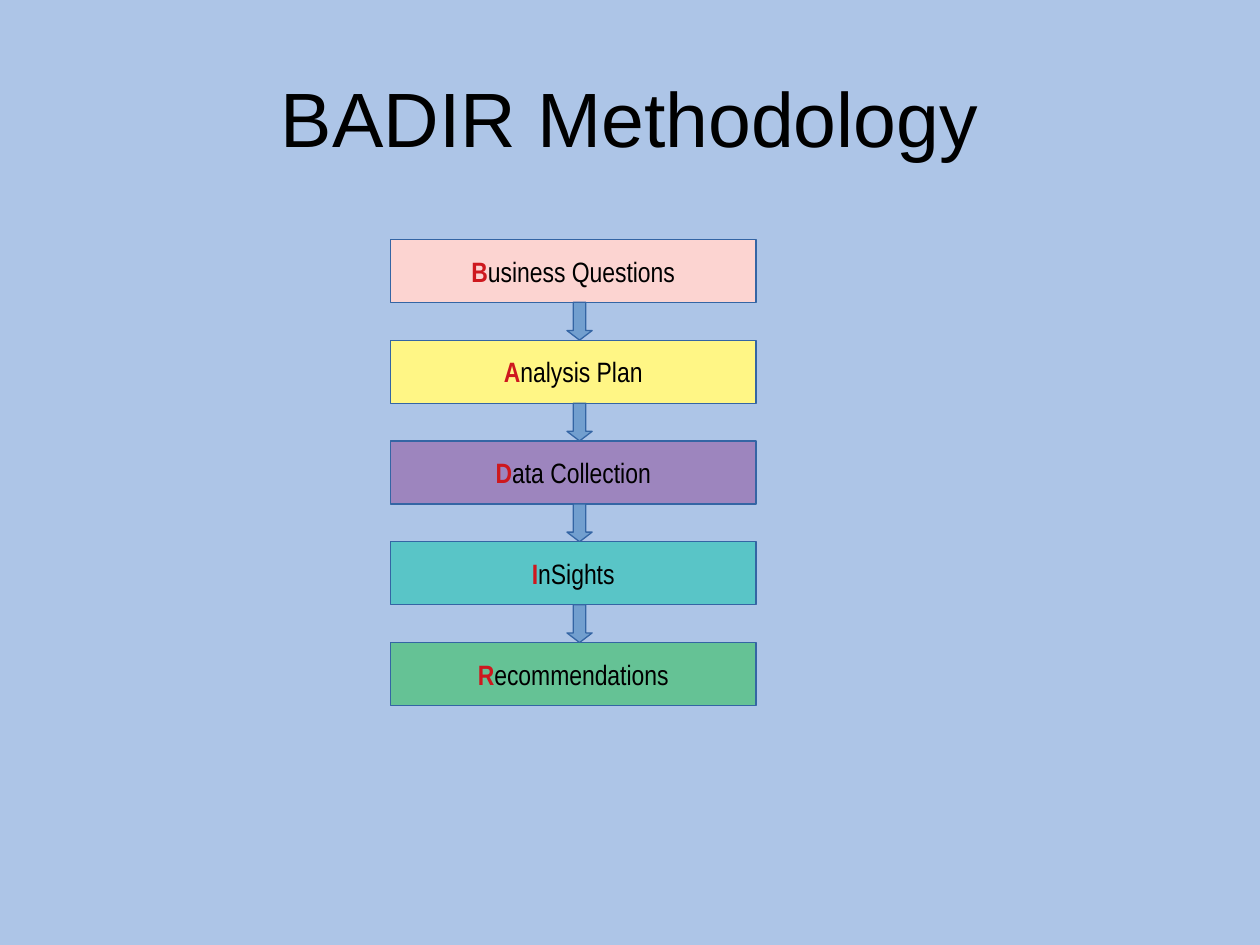
from pptx import Presentation
from pptx import util as u
from pptx.dml.color import RGBColor
from pptx.enum import shapes, text

BACKGROUND = RGBColor(0xAD, 0xC5, 0xE7)
BLACK = RGBColor(0x00, 0x00, 0x00)
INITIAL_RED = RGBColor(0xCE, 0x18, 0x1E)
OUTLINE = RGBColor(0x34, 0x65, 0xA4)
ARROW_BLUE = RGBColor(0x72, 0x9F, 0xCF)
PINK = RGBColor(0xFC, 0xD4, 0xD1)
YELLOW = RGBColor(0xFF, 0xF6, 0x85)
PURPLE = RGBColor(0x9D, 0x85, 0xBE)
TEAL = RGBColor(0x59, 0xC5, 0xC7)
GREEN = RGBColor(0x65, 0xC2, 0x95)

STEPS = [
    ("Business Questions", PINK),
    ("Analysis Plan", YELLOW),
    ("Data Collection", PURPLE),
    ("InSights", TEAL),
    ("Recommendations", GREEN),
]

# Flow layout in inches
BOX_LEFT, FIRST_TOP = 3.1, 1.9
BOX_WIDTH, BOX_HEIGHT = 2.9, 0.5
ARROW_LEFT, ARROW_WIDTH = 4.5, 0.2
GAP = 0.3


class FlowSlide:
    """Holds the text style and the current slide."""

    title_font, title_size = "Arial", 44
    step_font, step_size = "Arial Narrow", 16

    def __init__(self, presentation):
        self.slide = presentation.slides.add_slide(presentation.slide_layouts[5])
        fill = self.slide.background.fill
        fill.solid()
        fill.fore_color.rgb = BACKGROUND

    def add_run(self, paragraph, words, font, size, color, bold=False):
        run = paragraph.add_run()
        run.text = words
        run.font.name = font
        run.font.size = u.Pt(size)
        run.font.color.rgb = color
        run.font.bold = bold

    def add_title(self, words):
        title = self.slide.shapes.title
        title.left, title.top = u.Inches(0.5), u.Inches(0.3)
        title.width, title.height = u.Inches(9), u.Inches(1.25)
        title.text_frame.vertical_anchor = text.MSO_ANCHOR.MIDDLE
        paragraph = title.text_frame.paragraphs[0]
        paragraph.alignment = text.PP_ALIGN.CENTER
        self.add_run(paragraph, words, self.title_font, self.title_size, BLACK)

    def add_block(self, kind, left, top, width, height, color):
        shape = self.slide.shapes.add_shape(
            kind, u.Inches(left), u.Inches(top), u.Inches(width), u.Inches(height))
        shape.shadow.inherit = False
        shape.fill.solid()
        shape.fill.fore_color.rgb = color
        shape.line.color.rgb = OUTLINE
        shape.line.width = u.Pt(0.75)
        return shape

    def add_step(self, top, label, color):
        box = self.add_block(shapes.MSO_SHAPE.FLOWCHART_PROCESS,
                             BOX_LEFT, top, BOX_WIDTH, BOX_HEIGHT, color)
        frame = box.text_frame
        frame.word_wrap = False
        frame.vertical_anchor = text.MSO_ANCHOR.MIDDLE
        # The flowchart preset can narrow its text area, so insets are explicit
        frame.margin_left = frame.margin_right = u.Inches(0.1)
        frame.margin_top = frame.margin_bottom = u.Inches(0.05)
        paragraph = frame.paragraphs[0]
        paragraph.alignment = text.PP_ALIGN.CENTER
        self.add_run(paragraph, label[0], self.step_font, self.step_size,
                     INITIAL_RED, bold=True)
        self.add_run(paragraph, label[1:], self.step_font, self.step_size, BLACK)

    def add_arrow(self, top):
        arrow = self.add_block(shapes.MSO_SHAPE.DOWN_ARROW,
                               ARROW_LEFT, top, ARROW_WIDTH, GAP, ARROW_BLUE)
        arrow.adjustments[0] = 0.5
        arrow.adjustments[1] = 0.38


def main():
    presentation = Presentation()
    presentation.slide_width = u.Inches(10)
    presentation.slide_height = u.Inches(7.5)

    flow = FlowSlide(presentation)
    flow.add_title("BADIR Methodology")

    # Steps, each joined to the one above by an arrow
    for index, (label, color) in enumerate(STEPS):
        top = FIRST_TOP + index * (BOX_HEIGHT + GAP)
        if index > 0:
            flow.add_arrow(top - GAP)
        flow.add_step(top, label, color)

    presentation.save("out.pptx")


if __name__ == "__main__":
    main()
